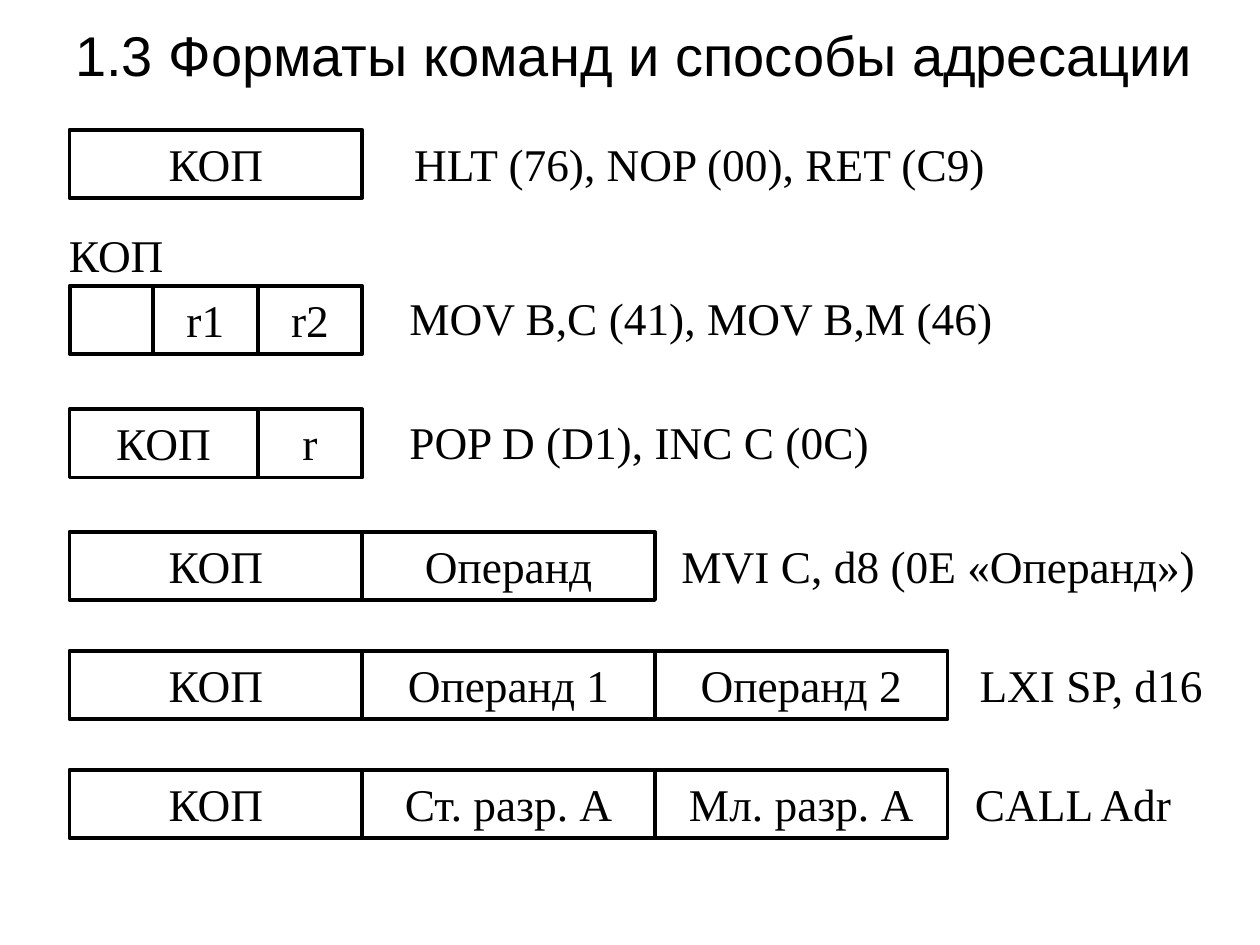
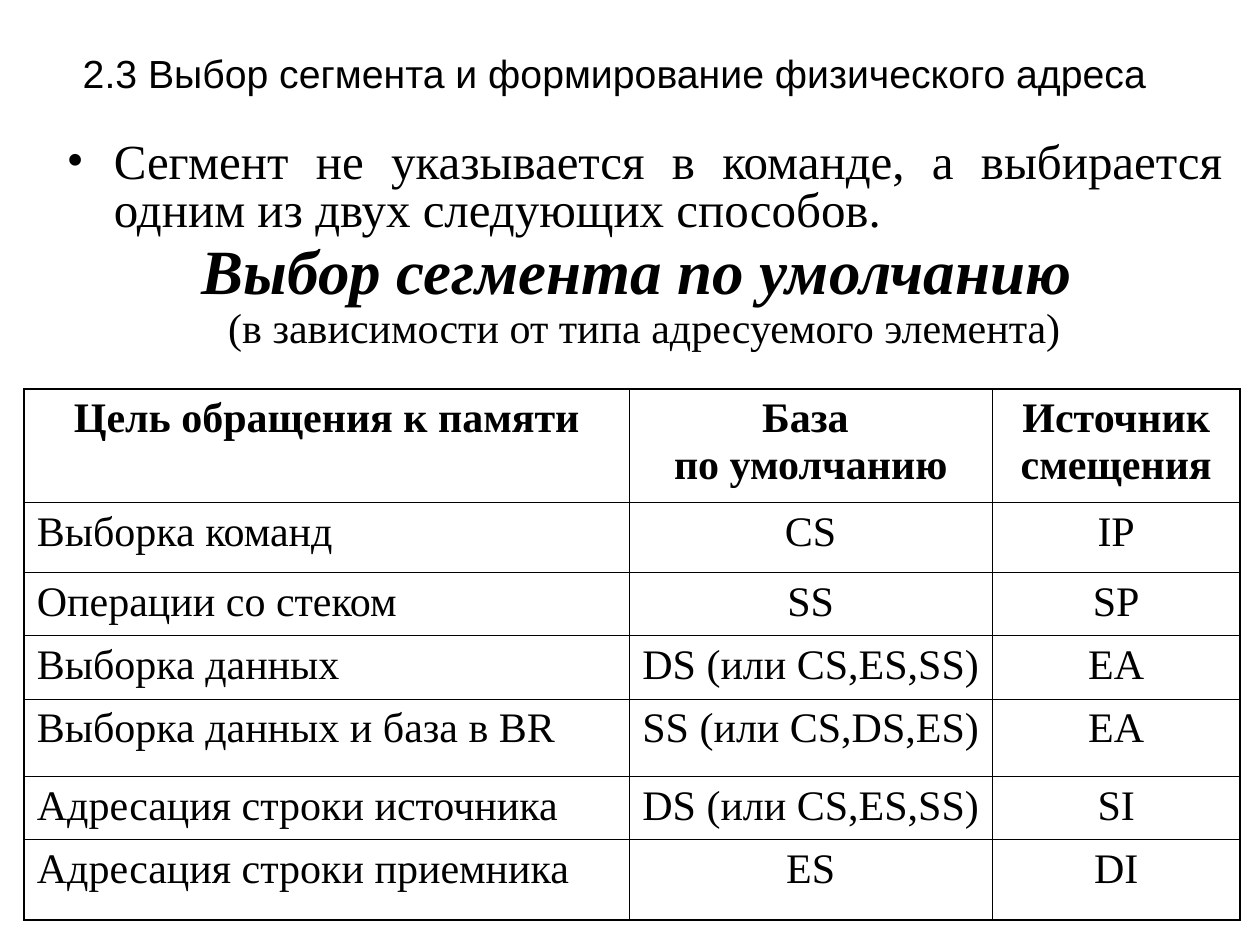
from dataclasses import dataclass
from typing import Any

from lxml import etree
from pptx import Presentation, util as u
from pptx.dml.color import RGBColor
from pptx.enum import shapes, text
from pptx.oxml import ns

Pt = u.Pt
Align = text.PP_ALIGN


@dataclass(frozen=True)
class Theme:
    ink: str = "000000"
    sans: str = "Arial"
    serif: str = "Times New Roman"
    title: float = 32
    long_title: float = 22.4
    field: float = 25.9
    body: float = 28
    heading: float = 36
    table: float = 24
    field_line: float = 2.25
    outer_border: float = 1.08
    inner_border: float = 0.45
    inset_x: float = 7.2
    inset_y: float = 3.6


THEME = Theme()


@dataclass(frozen=True)
class Box:
    left: float
    top: float
    width: float
    height: float

    def lengths(self) -> tuple:
        return tuple(Pt(n) for n in (self.left, self.top, self.width, self.height))


@dataclass(frozen=True)
class Field:
    label: str
    width: float


@dataclass(frozen=True)
class CommandFormat:
    top: float
    fields: tuple[Field, ...]
    example: str
    example_left: float
    example_rise: float = 0


@dataclass(frozen=True)
class Line:
    wording: str
    size: float
    align: Any = Align.LEFT
    font: str = THEME.serif
    bold: bool = False
    italic: bool = False
    spacing: float = 1.0
    before: float = 0
    hanging: float = 0
    bullet: str = ""


# Shared text helpers
def apply(target: Any, values: dict[str, Any]) -> None:
    for name, value in values.items():
        setattr(target, name, value)


def add_child(parent: Any, tag: str, **attributes: str) -> Any:
    return etree.SubElement(parent, ns.qn(tag), attributes)


def write_lines(frame: Any, lines: list[Line]) -> None:
    for index, line in enumerate(lines):
        paragraph = frame.add_paragraph() if index else frame.paragraphs[0]
        paragraph.text = line.wording
        properties = paragraph._p.get_or_add_pPr()
        if line.hanging:
            properties.set("marL", str(Pt(line.hanging)))
            properties.set("indent", str(-Pt(line.hanging)))
        if line.bullet:
            color = add_child(properties, "a:buClr")
            add_child(color, "a:srgbClr", val=THEME.ink)
            add_child(properties, "a:buFont", typeface=line.font)
            add_child(properties, "a:buChar", char=line.bullet)
        apply(paragraph, {"alignment": line.align, "line_spacing": line.spacing,
                          "space_before": Pt(line.before)})
        for run in paragraph.runs:
            apply(run.font, {"name": line.font, "size": Pt(line.size),
                             "bold": line.bold, "italic": line.italic})
            run.font.color.rgb = RGBColor.from_string(THEME.ink)


def format_frame(frame: Any, anchor: Any) -> None:
    apply(frame, {
        "word_wrap": True, "vertical_anchor": anchor,
        "margin_left": Pt(THEME.inset_x), "margin_right": Pt(THEME.inset_x),
        "margin_top": Pt(THEME.inset_y), "margin_bottom": Pt(THEME.inset_y),
    })


def add_text(slide: Any, box: Box, *lines: Line, anchor: Any = text.MSO_ANCHOR.TOP) -> None:
    frame = slide.shapes.add_textbox(*box.lengths()).text_frame
    format_frame(frame, anchor)
    write_lines(frame, list(lines))


def add_title(slide: Any, box: Box, wording: str, size: float, spacing: float = 1.0) -> None:
    line = Line(wording, size, Align.CENTER, THEME.sans, spacing=spacing)
    add_text(slide, box, line, anchor=text.MSO_ANCHOR.MIDDLE)


# Slide 1: command formats
FIELD_LEFT, FIELD_HEIGHT = 39.75, 38.9
BYTE, REGISTER = 167.25, 59.75
KOP = Field("КОП", BYTE)
FORMATS = (
    CommandFormat(74.2, (KOP,), "HLT (76), NOP (00), RET (C9)", 229.5),
    CommandFormat(163.3, (Field("", BYTE - 2 * REGISTER), Field("r1", REGISTER),
                          Field("r2", REGISTER)),
                  "MOV B,C (41), MOV B,M (46)", 226.8, 1),
    CommandFormat(234, (Field("КОП", BYTE - REGISTER), Field("r", REGISTER)),
                  "POP D (D1), INC C (0C)", 226.8, 1),
    CommandFormat(304, (KOP, Field("Операнд", BYTE)), "MVI C, d8 (0E «Операнд»)", 382.3),
    CommandFormat(372, (KOP, Field("Операнд 1", BYTE), Field("Операнд 2", BYTE)),
                  "LXI SP, d16", 552.7),
    CommandFormat(440, (KOP, Field("Ст. разр. А", BYTE), Field("Мл. разр. А", BYTE)),
                  "CALL Adr", 550),
)


def add_field(slide: Any, box: Box, label: str) -> None:
    shape = slide.shapes.add_shape(shapes.MSO_SHAPE.RECTANGLE, *box.lengths())
    shape.shadow.inherit = False
    shape.fill.background()
    shape.line.color.rgb = RGBColor.from_string(THEME.ink)
    shape.line.width = Pt(THEME.field_line)
    if label:
        format_frame(shape.text_frame, text.MSO_ANCHOR.TOP)
        write_lines(shape.text_frame, [Line(label, THEME.field, Align.CENTER)])


def add_format(slide: Any, command: CommandFormat) -> None:
    left = FIELD_LEFT
    for field in command.fields:
        add_field(slide, Box(left, command.top, field.width, FIELD_HEIGHT), field.label)
        left += field.width
    example = Box(command.example_left, command.top - command.example_rise,
                  715 - command.example_left, FIELD_HEIGHT)
    add_text(slide, example, Line(command.example, THEME.field))


def build_formats(slide: Any) -> None:
    add_title(slide, Box(22.3, 9.5, 680.5, 42.5),
              "1.3 Форматы команд и способы адресации", THEME.title)
    for command in FORMATS:
        add_format(slide, command)
    add_text(slide, Box(28.2, 126.2, 76.4, FIELD_HEIGHT),
             Line("КОП", THEME.field, Align.CENTER))


# Slide 2: segment choice
COLUMN_WIDTHS = (345.6, 207.5, 141.7)
ROW_HEIGHTS = (65, 40, 36, 36, 44.5, 36, 46)
SEGMENTS = (
    ("Цель обращения к памяти", "База \vпо умолчанию", "Источник смещения"),
    ("Выборка команд", "CS", "IP"),
    ("Операции со стеком", "SS", "SP"),
    ("Выборка данных", "DS (или CS,ES,SS)", "EA"),
    ("Выборка данных и база в BR", "SS (или CS,DS,ES)", "EA"),
    ("Адресация строки источника", "DS (или CS,ES,SS)", "SI"),
    ("Адресация строки приемника", "ES", "DI"),
)


def set_borders(cell: Any, outer_sides: dict[str, bool]) -> None:
    properties = cell._tc.get_or_add_tcPr()
    for index, (side, outer) in enumerate(outer_sides.items()):
        width = THEME.outer_border if outer else THEME.inner_border
        border = add_child(properties, f"a:ln{side}", w=str(Pt(width)))
        add_child(add_child(border, "a:solidFill"), "a:srgbClr", val=THEME.ink)
        properties.insert(index, border)


def add_segment_table(slide: Any) -> None:
    box = Box(13.9, 222.3, sum(COLUMN_WIDTHS), sum(ROW_HEIGHTS))
    last_row, last_column = len(ROW_HEIGHTS) - 1, len(COLUMN_WIDTHS) - 1
    table = slide.shapes.add_table(last_row + 1, last_column + 1, *box.lengths()).table
    apply(table, {"first_row": False, "horz_banding": False})
    for column, width in zip(table.columns, COLUMN_WIDTHS):
        column.width = Pt(width)
    for r, (row, height) in enumerate(zip(table.rows, ROW_HEIGHTS)):
        row.height = Pt(height)
        for c, cell in enumerate(row.cells):
            cell.fill.background()
            apply(cell, {"margin_left": Pt(THEME.inset_x), "margin_right": Pt(THEME.inset_x),
                         "margin_top": Pt(THEME.inset_y), "margin_bottom": Pt(THEME.inset_y)})
            align = Align.LEFT if r and not c else Align.CENTER
            write_lines(cell.text_frame,
                        [Line(SEGMENTS[r][c], THEME.table, align, bold=r == 0)])
            set_borders(cell, {"L": c == 0, "R": c == last_column,
                               "T": r == 0, "B": r == last_row})


def build_segments(slide: Any) -> None:
    add_title(slide, Box(8.6, 16.5, 686.2, 54.7),
              "2.3 Выбор сегмента и формирование физического адреса",
              THEME.long_title, spacing=0.8)
    add_text(
        slide, Box(31, 77.8, 674.6, 139),
        Line("Сегмент не указывается в команде, а выбирается одним из двух "
             "следующих способов.", THEME.body, Align.JUSTIFY,
             spacing=0.8, hanging=27, bullet="•"),
        Line("Выбор сегмента по умолчанию ", THEME.heading, Align.CENTER, bold=True,
             italic=True, spacing=0.7, before=9, hanging=27),
        Line("(в зависимости от типа адресуемого элемента)", THEME.table, Align.CENTER,
             spacing=0.7, before=6, hanging=27),
    )
    add_segment_table(slide)


def main() -> None:
    presentation = Presentation()
    apply(presentation, {"slide_width": Pt(720), "slide_height": Pt(540)})
    for build in (build_formats, build_segments):
        build(presentation.slides.add_slide(presentation.slide_layouts[6]))
    presentation.save("out.pptx")


if __name__ == "__main__":
    main()
